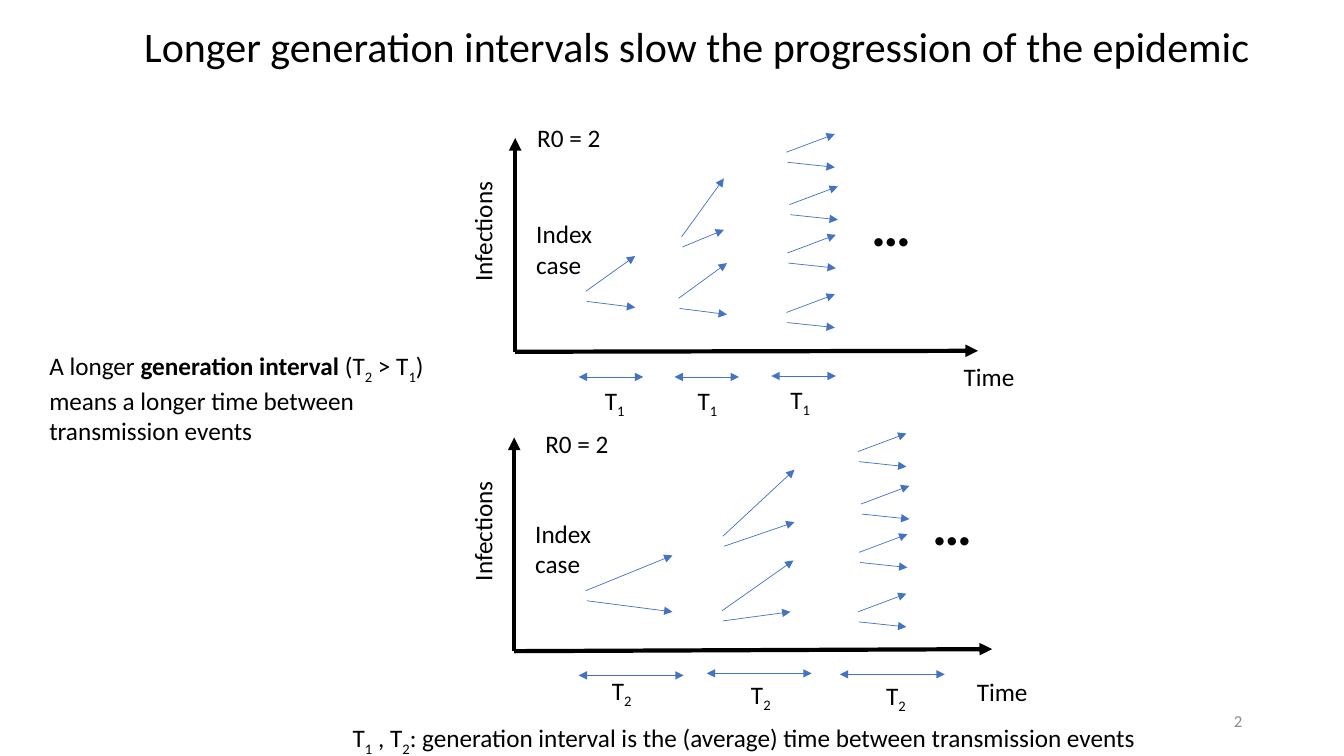
from lxml import etree
from pptx import Presentation
from pptx.dml.color import RGBColor
from pptx.enum.shapes import MSO_CONNECTOR
from pptx.enum.text import MSO_ANCHOR, MSO_AUTO_SIZE, PP_ALIGN
from pptx.oxml.ns import qn
from pptx.util import Inches, Pt

STRAIGHT = MSO_CONNECTOR.STRAIGHT
TOP, MIDDLE = MSO_ANCHOR.TOP, MSO_ANCHOR.MIDDLE
LEFT, RIGHT = PP_ALIGN.LEFT, PP_ALIGN.RIGHT
GROW, FIXED = MSO_AUTO_SIZE.SHAPE_TO_FIT_TEXT, MSO_AUTO_SIZE.NONE
BLACK, BLUE, GREY = "000000", "4472C4", "8C8C8C"
PANEL_STEP = 2.97

# Fans: left, top, run, upper tip, lower tip, run of the lower arrow
EARLY_FANS_1 = [(5.81, 2.89, 0.49, -0.35, 0.16, 0.49),
                (6.73, 2.96, 0.48, -0.35, 0.16, 0.48),
                (6.76, 2.35, 0.42, -0.58, -0.07, 0.42)]
EARLY_FANS_2 = [(5.81, 5.86, 0.86, -0.35, 0.21, 0.86),
                (7.17, 5.32, 0.71, -0.66, -0.14, 0.71),
                (7.16, 6.06, 0.71, -0.5, 0.01, 0.68)]
LAST_FANS = [(7.8, 3.1), (7.81, 2.51), (7.83, 2.03), (7.8, 1.51)]


def color(hex_string):
    return RGBColor.from_string(hex_string)


def fill_text(shape, paragraphs, size=18, ink=BLACK, bold=False, wrap=False,
              align=LEFT, anchor=TOP, fit=GROW):
    """Each paragraph is a list of spans: a string, or (string, "sub" or "bold")."""
    frame = shape.text_frame
    frame.word_wrap = wrap
    frame.auto_size = fit
    frame.vertical_anchor = anchor
    for index, spans in enumerate(paragraphs):
        para = frame.add_paragraph() if index else frame.paragraphs[0]
        para.alignment = align
        for item in spans:
            text, style = (item, "") if isinstance(item, str) else item
            span = para.add_run()
            span.text = text
            span.font.name = "Calibri"
            span.font.size = Pt(size)
            span.font.bold = bold or style == "bold"
            span.font.color.rgb = color(ink)
            if style == "sub":
                span._r.get_or_add_rPr().set("baseline", "-25000")


def add_text(page, place, *paragraphs, rotation=0, **text_format):
    box = page.shapes.add_textbox(*map(Inches, place))
    box.rotation = rotation
    fill_text(box, paragraphs, **text_format)


def add_arrow(page, start, end, ink=BLUE, weight=0.5, double=False):
    arrow = page.shapes.add_connector(STRAIGHT, *map(Inches, (*start, *end)))
    arrow.line.color.rgb = color(ink)
    arrow.line.width = Pt(weight)
    outline = arrow.line._get_or_add_ln()
    for tag in ("a:headEnd", "a:tailEnd") if double else ("a:tailEnd",):
        etree.SubElement(outline, qn(tag)).set("type", "triangle")
    etree.SubElement(arrow._element.spPr, qn("a:effectLst"))


def add_fan(page, left, top, run, upper, lower, lower_run):
    """Two arrows from one infected case to the two cases it causes."""
    add_arrow(page, (left, top), (left + run, top + upper))
    add_arrow(page, (left + 0.01, top + 0.1), (left + lower_run, top + lower))


def add_panel(page, shift, axis_left, axis_end, early_fans, last_shift,
              ellipsis_left, ratio_place, time_place):
    origin = (axis_left, 3.49 + shift)
    add_arrow(page, origin, (axis_left, 1.37 + shift), BLACK, 3)
    add_arrow(page, origin, axis_end, BLACK, 3)
    add_text(page, (4.18, 2.09 + shift, 1.21, 0.4), ["Infections"], rotation=270)
    add_text(page, (axis_left + 0.11, 2.12 + shift, 0.82, 0.71), ["Index"], ["case"])
    add_text(page, (*ratio_place, 0.84, 0.4), ["R0 = 2"])
    add_text(page, (*time_place, 0.77, 0.4), ["Time"])
    add_text(page, (ellipsis_left, 1.84 + shift, 0.6, 0.77), ["…"], size=40, bold=True)
    for fan in early_fans:
        add_fan(page, *fan)
    for left, top in LAST_FANS:
        add_fan(page, left + last_shift, top + shift, 0.48, -0.18, 0.15, 0.48)


def add_intervals(page, number, width, intervals):
    """Double arrows, each with its label T and a subscript number."""
    for left, top, label_left, label_top in intervals:
        add_arrow(page, (left, top), (left + width, top), double=True)
        add_text(page, (label_left, label_top, 0.41, 0.4), ["T", (number, "sub")])


def main():
    deck = Presentation()
    deck.slide_width, deck.slide_height = Inches(13.33), Inches(7.5)
    page = deck.slides.add_slide(deck.slide_layouts[5])

    title = page.shapes.title
    title.left, title.top, title.width, title.height = map(
        Inches, (1.33, 0.15, 11.39, 0.61))
    fill_text(title, [["Longer generation intervals slow the progression of the epidemic"]],
              size=30, wrap=True)

    add_panel(page, 0, 5.11, (9.7, 3.48), EARLY_FANS_1, 0, 8.55, (5.23, 1.16), (9.46, 3.54))
    add_intervals(page, "1", 0.64, [(5.74, 3.74, 5.9, 3.77), (6.69, 3.74, 6.82, 3.77),
                                    (7.65, 3.73, 7.74, 3.76)])
    add_panel(page, PANEL_STEP, 5.1, (9.84, 6.44), EARLY_FANS_2, 0.71, 9.15,
              (5.31, 4.2), (9.59, 6.66))
    add_intervals(page, "2", 1.04, [(5.74, 6.7, 5.97, 6.65), (7.01, 6.68, 7.35, 6.69),
                                    (8.33, 6.69, 8.69, 6.7)])

    add_text(page, (0.39, 3.43, 4.11, 1.01),
             ["A longer ", ("generation interval ", "bold"), "(T", ("2", "sub"), " > T",
              ("1", "sub"), ") means a longer time between transmission events"], wrap=True)
    add_text(page, (3.4, 7.12, 8.14, 0.4),
             ["T", ("1", "sub"), " , T", ("2", "sub"),
              ": generation interval is the (average) time between transmission events"])
    add_text(page, (9.42, 6.95, 3, 0.4), ["2"], size=12, ink=GREY, wrap=True,
             align=RIGHT, anchor=MIDDLE, fit=FIXED)
    deck.save("out.pptx")


if __name__ == "__main__":
    main()
